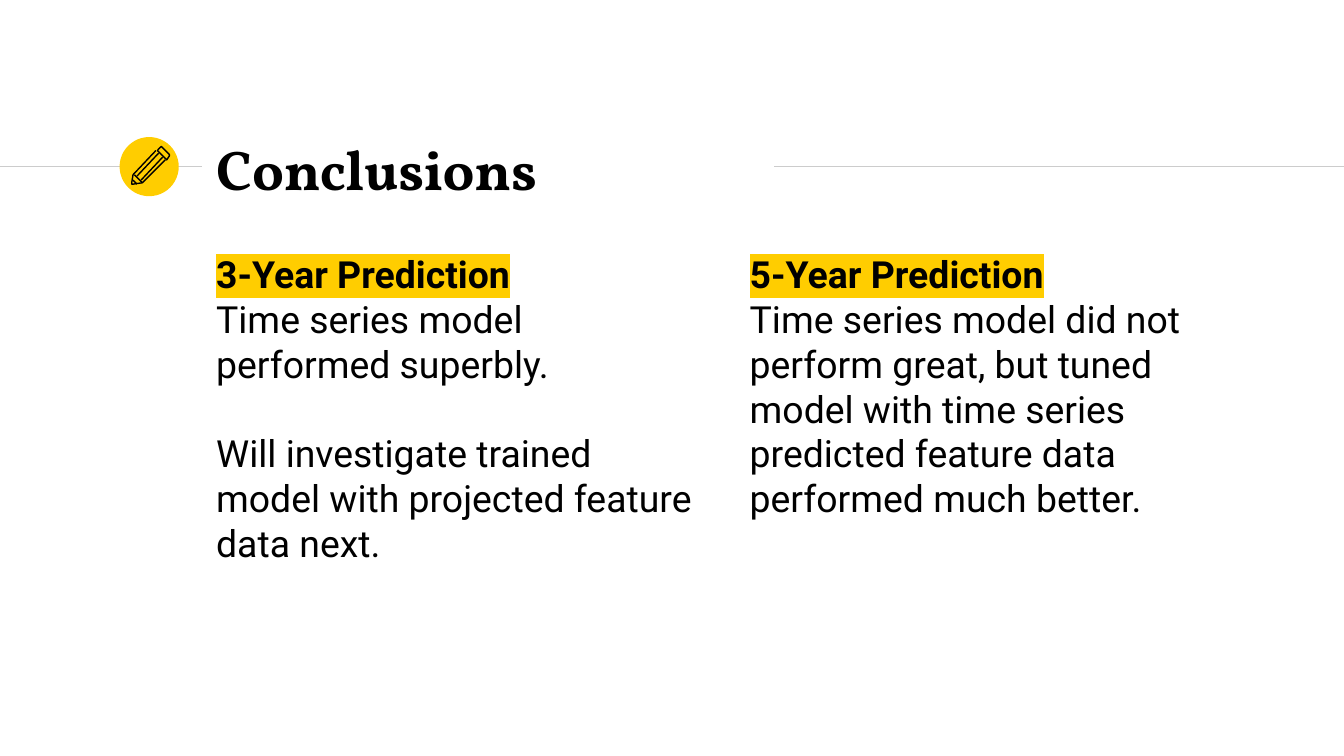
"""Build the conclusions slide with two columns of findings."""
from lxml.etree import SubElement
from pptx import Presentation
from pptx.dml.color import RGBColor
from pptx.enum.shapes import MSO_CONNECTOR, MSO_SHAPE
from pptx.enum.text import MSO_ANCHOR
from pptx.oxml.ns import qn
from pptx.util import Inches, Pt

HUES = {"ink": "000000", "gold": "FFCD00", "rule": "CCCCCC", "page": "FFFFFF"}
HEAD = {"name": "Vollkorn", "size": Pt(30), "bold": True}
LEAD = {"name": "Roboto", "size": Pt(20), "bold": True}
BODY = {"name": "Roboto", "size": Pt(20), "bold": False}


def add_box(left, top, width, height, anchor, parts):
    frame = slide.shapes.add_textbox(*map(Inches, (left, top, width, height))).text_frame
    edge = Inches(0.1)
    setup = {"word_wrap": True, "vertical_anchor": anchor, "margin_left": edge,
             "margin_right": edge, "margin_top": edge, "margin_bottom": edge}
    for key, value in setup.items():
        setattr(frame, key, value)
    for index, (text, style, gap, mark) in enumerate(parts):
        para = frame.add_paragraph() if index else frame.paragraphs[0]
        para.space_before = Pt(gap)
        run = para.add_run()
        run.text = text
        for key, value in style.items():
            setattr(run.font, key, value)
        run.font.color.rgb = RGBColor.from_string(HUES["ink"])
        if mark:
            glow = SubElement(run.font._element, qn("a:highlight"))
            SubElement(glow, qn("a:srgbClr"), val=HUES[mark])
            run.font._element.find(qn("a:solidFill")).addnext(glow)


def add_line(start, end, hue):
    line = slide.shapes.add_connector(MSO_CONNECTOR.STRAIGHT, *map(Inches, start + end))
    line.line.color.rgb = RGBColor.from_string(HUES[hue])
    line.line.width = Pt(0.75)
    SubElement(line._element.spPr, qn("a:effectLst"))


deck = Presentation()
deck.slide_width, deck.slide_height = Inches(10), Inches(10 * 9 / 16)
slide = deck.slides.add_slide(deck.slide_layouts[6])
slide.background.fill.solid()
slide.background.fill.fore_color.rgb = RGBColor.from_string(HUES["page"])

for left, right in ((0, 1.5), (5.76, 10)):
    add_line((left, 1.24), (right, 1.24), "rule")

disc = slide.shapes.add_shape(MSO_SHAPE.OVAL, *map(Inches, (0.89, 1.02, 0.44, 0.44)))
disc.shadow.inherit = False
disc.fill.solid()
disc.fill.fore_color.rgb = RGBColor.from_string(HUES["gold"])
disc.line.fill.background()

columns = [
    (1.51, [("3-Year Prediction", LEAD, 0, "gold"),
            ("Time series model performed superbly.", BODY, 0, None),
            ("Will investigate trained model with projected feature data next.",
             BODY, 24, None)]),
    (5.48, [("5-Year Prediction", LEAD, 0, "gold"),
            ("Time series model did not perform great, but tuned model with time "
             "series predicted feature data performed much better.", BODY, 0, None)]),
]
for left, parts in columns:
    add_box(left, 1.77, 3.75, 3.53, MSO_ANCHOR.TOP, parts)
add_box(1.51, 1.01, 4.24, 0.48, MSO_ANCHOR.MIDDLE, [("Conclusions", HEAD, 0, None)])

outlines = [
    ([(1.26, 1.15), (1.21, 1.1), (1.2, 1.09), (1.19, 1.1), (1.17, 1.12),
      (1.24, 1.19), (1.26, 1.16)], True),
    ([(1.16, 1.12), (1, 1.29), (0.99, 1.3), (0.98, 1.36), (0.98, 1.37),
      (0.99, 1.37), (1.06, 1.36), (1.23, 1.19)], False),
    ([(1, 1.3), (1.06, 1.36)], False),
    ([(1.21, 1.17), (1.05, 1.34)], False),
    ([(1.02, 1.31), (1.18, 1.14)], False),
    ([(1.02, 1.37), (0.99, 1.34)], False),
]
for points, closed in outlines:
    if len(points) == 2:
        add_line(*points, "ink")
        continue
    spots = [(Inches(x), Inches(y)) for x, y in points]
    pen = slide.shapes.build_freeform(*spots[0])
    pen.add_line_segments(spots[1:], close=closed)
    part = pen.convert_to_shape()
    part.shadow.inherit = False
    part.fill.background()
    part.line.color.rgb = RGBColor.from_string(HUES["ink"])
    part.line.width = Pt(0.75)

deck.save("out.pptx")
